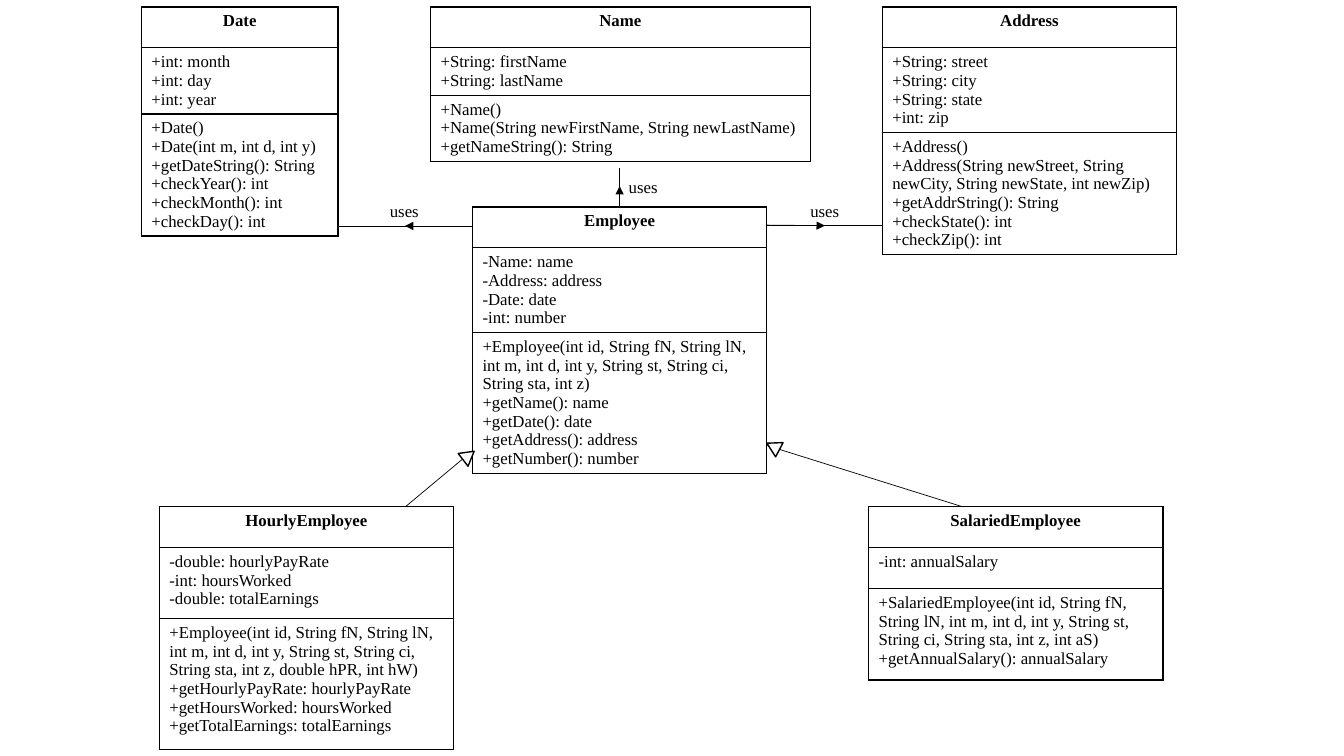
from lxml import etree
from pptx import Presentation
from pptx.dml.color import RGBColor
from pptx.enum.shapes import MSO_CONNECTOR, MSO_SHAPE
from pptx.enum.text import PP_ALIGN
from pptx.oxml.ns import qn
from pptx.util import Pt

STRAIGHT = MSO_CONNECTOR.STRAIGHT
TRIANGLE = MSO_SHAPE.ISOSCELES_TRIANGLE
CENTER = PP_ALIGN.CENTER

COLORS = {"ink": "000000", "paper": "FFFFFF"}
FONT, FONT_SIZE = "Times New Roman", 12
HEADER_HEIGHT = 29.2

# Classes: name, (left, top, width), (attributes height, methods height), attributes, methods
CLASSES = [
    ("Name", (307.5, 5, 271.3), (33.8, 47.2),
     ["+String: firstName", "+String: lastName"],
     ["+Name()", "+Name(String newFirstName, String newLastName)",
      "+getNameString(): String"]),
    ("Date", (101, 5, 140.5), (47.2, 87.2),
     ["+int: month", "+int: day", "+int: year"],
     ["+Date()", "+Date(int m, int d, int y)", "+getDateString(): String",
      "+checkYear(): int", "+checkMonth(): int", "+checkDay(): int"]),
    ("Address", (630.2, 5, 210.3), (60.5, 87.2),
     ["+String: street", "+String: city", "+String: state", "+int: zip"],
     ["+Address()",
      "+Address(String newStreet, String newCity, String newState, int newZip)",
      "+getAddrString(): String", "+checkState(): int", "+checkZip(): int"]),
    ("Employee", (337.5, 147.8, 210.3), (60.5, 100.5),
     ["-Name: name", "-Address: address", "-Date: date", "-int: number"],
     ["+Employee(int id, String fN, String lN, int m, int d, int y, "
      "String st, String ci, String sta, int z)",
      "+getName(): name", "+getDate(): date",
      "+getAddress(): address", "+getNumber(): number"]),
    ("HourlyEmployee", (113.8, 362, 210.3), (50.7, 93.6),
     ["-double: hourlyPayRate", "-int: hoursWorked", "-double: totalEarnings"],
     ["+Employee(int id, String fN, String lN, int m, int d, int y, "
      "String st, String ci, String sta, int z, double hPR, int hW)",
      "+getHourlyPayRate: hourlyPayRate", "+getHoursWorked: hoursWorked",
      "+getTotalEarnings: totalEarnings"]),
    ("SalariedEmployee", (620.4, 362, 210.3), (29.2, 65.3),
     ["-int: annualSalary"],
     ["+SalariedEmployee(int id, String fN, String lN, int m, int d, int y, "
      "String st, String ci, String sta, int z, int aS)",
      "+getAnnualSalary(): annualSalary"]),
]

# Associations: start, arrow tip, end, label corner
USES = [
    ((442.6, 147.8), (442.6, 133), (442.6, 120), (442, 122.4)),
    ((337.5, 161.4), (289.3, 161.4), (241.4, 161.4), (271.4, 139.7)),
    ((547.8, 160.8), (589.2, 161.2), (630.2, 160.8), (571.7, 139.7)),
]

# Inheritance: start, end, triangle corner, triangle rotation
INHERITS = [
    ((289.6, 362), (337.5, 322), (329, 320.4), 52.1),
    ((687.6, 362), (547.8, 318.2), (546.5, 313.9), 297.7),
]


def color(name):
    return RGBColor.from_string(COLORS[name])


def write(frame, lines, bold=False, align=None):
    frame.text = "\n".join(lines)
    for paragraph in frame.paragraphs:
        paragraph.alignment = align
        for run in paragraph.runs:
            run.font.name = FONT
            run.font.size = Pt(FONT_SIZE)
            run.font.bold = bold
            run.font.color.rgb = color("ink")


def border(cell):
    properties = cell._tc.get_or_add_tcPr()
    for side in ("a:lnL", "a:lnR", "a:lnT", "a:lnB"):
        edge = etree.SubElement(properties, qn(side), w=str(Pt(1)))
        fill = etree.SubElement(edge, qn("a:solidFill"))
        etree.SubElement(fill, qn("a:srgbClr"), val=COLORS["ink"])
    cell.fill.background()


def draw_class(shapes, name, place, row_heights, attributes, methods):
    heights = (HEADER_HEIGHT, *row_heights)
    left, top, width = place
    table = shapes.add_table(3, 1, Pt(left), Pt(top), Pt(width), Pt(sum(heights))).table
    table.first_row = False
    table.horz_banding = False
    for index, lines in enumerate(([name], attributes, methods)):
        table.rows[index].height = Pt(heights[index])
        cell = table.cell(index, 0)
        is_header = index == 0
        write(cell.text_frame, lines, is_header, CENTER if is_header else None)
        border(cell)


def draw_line(shapes, start, end, arrow=False):
    connector = shapes.add_connector(STRAIGHT, *map(Pt, start + end))
    connector.line.color.rgb = color("ink")
    connector.line.width = Pt(0.5)
    properties = connector._element.spPr
    if arrow:
        etree.SubElement(properties.find(qn("a:ln")), qn("a:tailEnd"), type="triangle")
    etree.SubElement(properties, qn("a:effectLst"))


def draw_label(shapes, corner):
    frame = shapes.add_textbox(*map(Pt, corner + (35.3, 21.6))).text_frame
    frame.word_wrap = False
    write(frame, ["uses"])


def draw_triangle(shapes, corner, rotation):
    triangle = shapes.add_shape(TRIANGLE, *map(Pt, corner + (11.5, 10)))
    triangle.rotation = rotation
    triangle.shadow.inherit = False
    triangle.fill.solid()
    triangle.fill.fore_color.rgb = color("paper")
    triangle.line.color.rgb = color("ink")
    triangle.line.width = Pt(1)


def main():
    deck = Presentation()
    deck.slide_width, deck.slide_height = Pt(960), Pt(540)
    shapes = deck.slides.add_slide(deck.slide_layouts[6]).shapes

    # Class boxes
    for entry in CLASSES:
        draw_class(shapes, *entry)

    # Associations: a full line, with an arrow over its first half
    for start, tip, end, label_corner in USES:
        draw_line(shapes, start, end)
        draw_line(shapes, start, tip, arrow=True)
        draw_label(shapes, label_corner)

    # Inheritance: a line, with a hollow triangle at the parent
    for start, end, corner, rotation in INHERITS:
        draw_line(shapes, start, end)
        draw_triangle(shapes, corner, rotation)

    deck.save("out.pptx")


if __name__ == "__main__":
    main()
